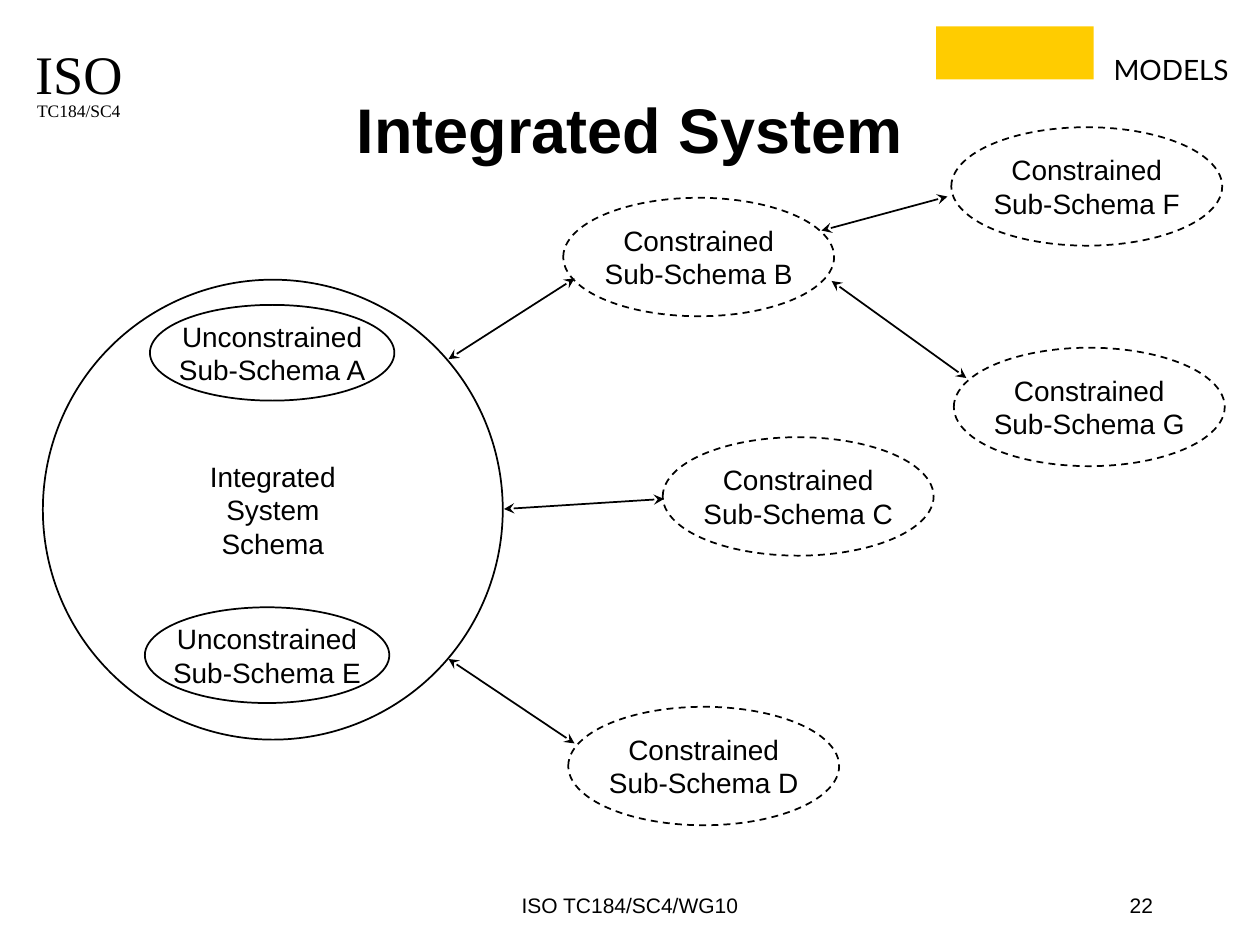
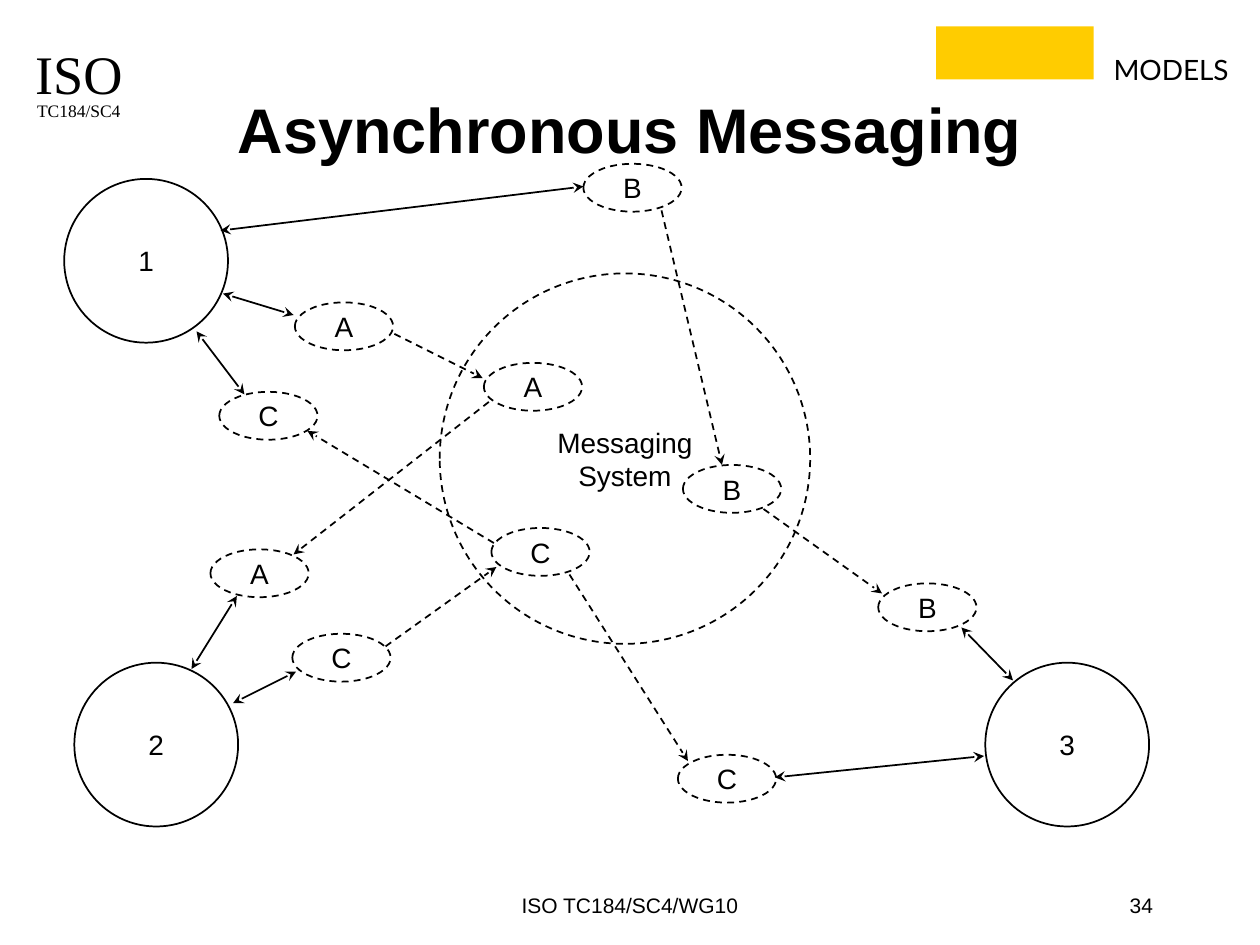
"""Build two schema-exchange slides on a square grid of 100 columns by 75 rows."""
from pptx import Presentation, util as u
from pptx.dml.color import RGBColor
from pptx.enum import dml, shapes, text
from pptx.oxml.ns import qn

BLACK, WHITE, GOLD = "000000", "FFFFFF", "FFCC00"
MIDDLE, TOP, BOTTOM = text.MSO_ANCHOR.MIDDLE, text.MSO_ANCHOR.TOP, text.MSO_ANCHOR.BOTTOM
LEFT, CENTER, RIGHT = text.PP_ALIGN.LEFT, text.PP_ALIGN.CENTER, text.PP_ALIGN.RIGHT
colour = RGBColor.from_string

deck = Presentation()
deck.slide_width, deck.slide_height = u.Inches(10), u.Inches(7.5)


def grid(*cells):
    """Turn grid counts into slide lengths."""
    return [round(deck.slide_width * cell / 100) for cell in cells]


def write(holder, words, size=16, font="Arial", bold=False, align=CENTER, anchor=MIDDLE, wrap=False):
    """Fill a shape with one formatted paragraph."""
    frame = holder.text_frame
    frame.auto_size = text.MSO_AUTO_SIZE.NONE
    frame.word_wrap, frame.vertical_anchor = wrap, anchor
    paragraph = frame.paragraphs[0]
    paragraph.text = words.replace("\n", "\v")
    paragraph.alignment = align
    for run in paragraph.runs:
        run.font.size, run.font.name, run.font.bold = u.Pt(size), font, bold
        run.font.color.rgb = colour(BLACK)


masthead = [
    ("ISO", (2.5, 3.3, 7.5, 5), dict(size=31, font="Times New Roman")),
    ("TC184/SC4", (2.5, 7.5, 7.5, 2.5), dict(size=10, font="Times New Roman")),
    ("MODELS", (87.4, 3.7, 9, 3.7), dict(font="Lato", align=LEFT, anchor=TOP)),
    ("ISO TC184/SC4/WG10", (30, 68.3, 40, 5), dict(size=12, anchor=BOTTOM, wrap=True)),
]

# Each kind of ellipse: width, height, dashed outline.
kinds = {
    "system": (36.5, 36.5, False),
    "unconstrained": (19.4, 7.6, False),
    "constrained": (21.5, 9.4, True),
    "hub": (29.4, 29.4, True),
    "partner": (13, 13, False),
    "message": (7.8, 3.8, True),
}

# Ellipses are (kind, label, left, top); links run from x, y to x, y.
topics = [
    {
        "title": "Integrated System",
        "number": "22",
        "ellipses": [
            ("system", "Integrated\nSystem\nSchema", 3.4, 22.2),
            ("unconstrained", "Unconstrained\nSub-Schema A", 11.9, 24.2),
            ("unconstrained", "Unconstrained\nSub-Schema E", 11.5, 48.2),
            ("constrained", "Constrained\nSub-Schema B", 44.7, 15.7),
            ("constrained", "Constrained\nSub-Schema C", 52.6, 34.7),
            ("constrained", "Constrained\nSub-Schema D", 45.1, 56.1),
            ("constrained", "Constrained\nSub-Schema F", 75.5, 10.1),
            ("constrained", "Constrained\nSub-Schema G", 75.7, 27.6),
        ],
        "exchanges": [
            (35.6, 28.5, 45.6, 22.1),
            (40, 40.4, 52.7, 39.6),
            (35.6, 52.3, 45.6, 59),
            (65.2, 18.3, 75.2, 15.6),
            (66, 22.3, 76.7, 30),
        ],
        "deliveries": [],
    },
    {
        "title": "Asynchronous Messaging",
        "number": "34",
        "ellipses": [
            ("hub", "Messaging\nSystem", 34.9, 21.7),
            ("partner", "1", 5.1, 14.2),
            ("partner", "2", 5.9, 52.6),
            ("partner", "3", 78.2, 52.6),
            ("message", "A", 23.4, 24),
            ("message", "A", 38.4, 28.8),
            ("message", "A", 16.7, 43.6),
            ("message", "B", 46.3, 13),
            ("message", "B", 54.2, 36.9),
            ("message", "B", 69.7, 46.3),
            ("message", "C", 17.4, 31.1),
            ("message", "C", 39, 41.9),
            ("message", "C", 23.2, 50.3),
            ("message", "C", 53.8, 59.9),
        ],
        "exchanges": [
            (15.2, 53.1, 18.8, 47.3),
            (17.7, 23.3, 23.3, 25),
            (15.6, 26.3, 19.4, 31.3),
            (18.5, 55.8, 23.5, 53.3),
            (78.1, 60, 61.5, 61.7),
            (17.5, 18.3, 46.3, 14.8),
            (76.3, 49.8, 80.4, 54),
        ],
        "deliveries": [
            (31.3, 26.5, 38.3, 30),
            (38.8, 31.9, 23.3, 44),
            (30.6, 51.3, 39.4, 45),
            (39.2, 43.1, 24.4, 34.2),
            (45.2, 45.6, 54.6, 60.4),
            (52.5, 16.7, 57.3, 36.9),
            (60.6, 40.4, 70, 47.1),
        ],
    },
]

for topic in topics:
    slide = deck.slides.add_slide(deck.slide_layouts[5])
    heading = slide.shapes.title
    heading.left, heading.top, heading.width, heading.height = grid(7.5, 6.7, 85, 12.5)
    write(heading, topic["title"], size=36, bold=True, anchor=TOP, wrap=True)

    emblem = slide.shapes.add_shape(shapes.MSO_SHAPE.RECTANGLE, *grid(74.3, 2.1, 12.5, 4.2))
    emblem.shadow.inherit = False
    emblem.fill.solid()
    emblem.fill.fore_color.rgb = colour(GOLD)
    emblem.line.fill.background()

    page = (topic["number"], (71.7, 68.3, 20.8, 5), dict(size=12, align=RIGHT, anchor=BOTTOM, wrap=True))
    for words, area, look in masthead + [page]:
        write(slide.shapes.add_textbox(*grid(*area)), words, **look)

    for kind, label, left, top in topic["ellipses"]:
        width, height, dashed = kinds[kind]
        schema = slide.shapes.add_shape(shapes.MSO_SHAPE.OVAL, *grid(left, top, width, height))
        schema.shadow.inherit = False
        schema.fill.solid()
        schema.fill.fore_color.rgb = colour(WHITE)
        schema.line.color.rgb = colour(BLACK)
        schema.line.width = u.Pt(1)
        if dashed:
            schema.line.dash_style = dml.MSO_LINE.DASH
        write(schema, label)

    for flow, ends in (("exchanges", ("headEnd", "tailEnd")), ("deliveries", ("tailEnd",))):
        for route in topic[flow]:
            link = slide.shapes.add_connector(shapes.MSO_CONNECTOR.STRAIGHT, *grid(*route))
            link.line.color.rgb = colour(BLACK)
            link.line.width = u.Pt(1)
            if flow == "deliveries":
                link.line.dash_style = dml.MSO_LINE.DASH
            properties = link._element.spPr
            outline = properties.find(qn("a:ln"))
            for end in ends:
                arrow = outline.makeelement(qn(f"a:{end}"), {"type": "stealth"})
                outline.append(arrow)
            properties.append(properties.makeelement(qn("a:effectLst"), {}))

deck.save("out.pptx")
